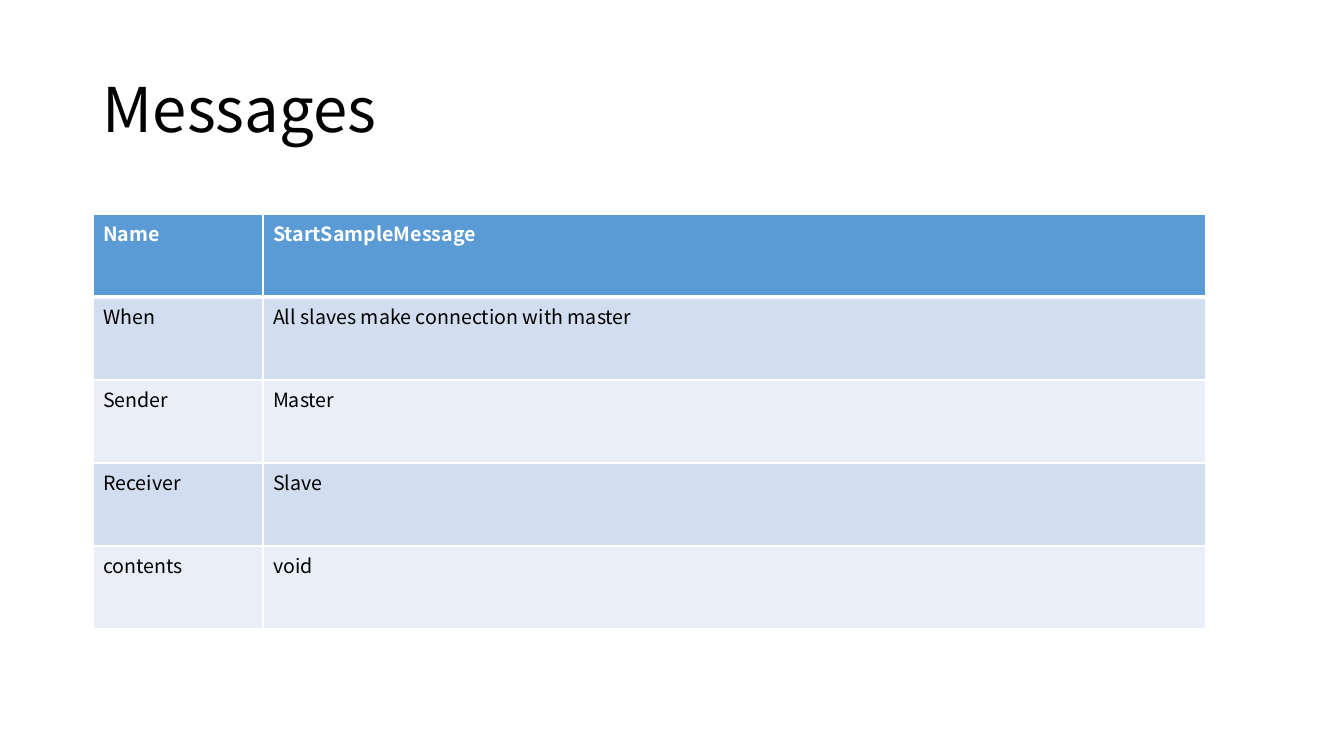
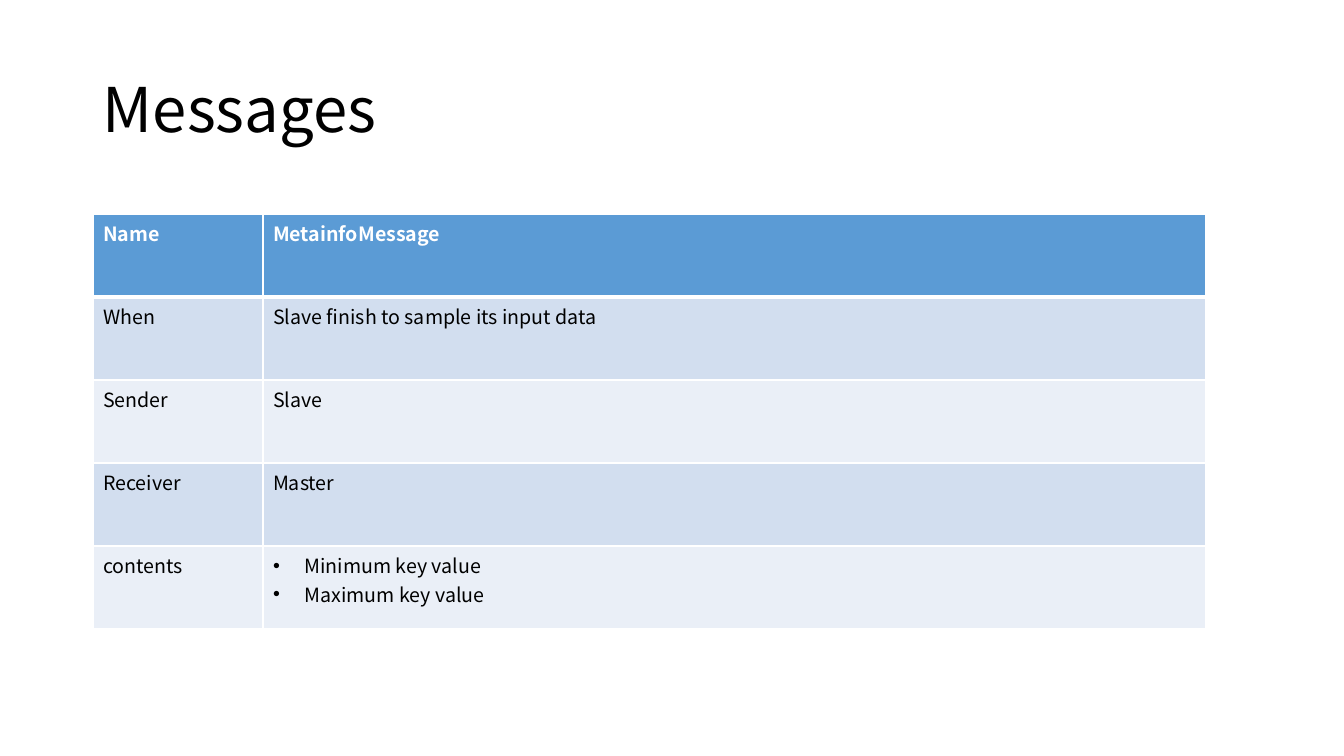
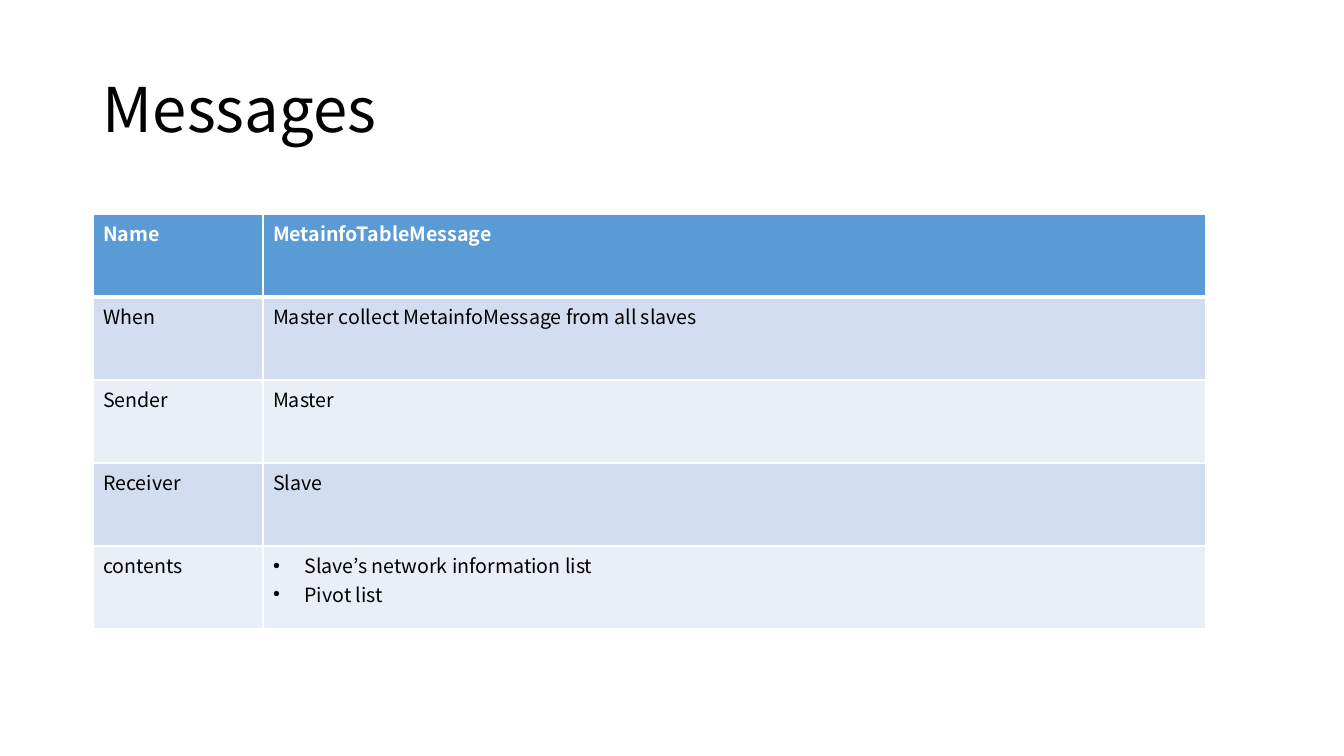
from lxml import etree
from pptx import Presentation
from pptx import util as u
from pptx.dml.color import RGBColor
from pptx.enum import text
from pptx.oxml import ns

# Shared look
EMU_PER_PIXEL = 914400 / 100.8
FONT = "Noto Sans CJK KR"
BLACK = RGBColor(0x00, 0x00, 0x00)
WHITE = RGBColor(0xFF, 0xFF, 0xFF)
HEADER_BLUE = RGBColor(0x5B, 0x9B, 0xD5)
BANDS = (RGBColor(0xEA, 0xEF, 0xF7), RGBColor(0xD2, 0xDE, 0xEF))

# Layout in pixels
SLIDE_SIZE = (1344, 756)
TITLE_BOX = (93, 40, 1159, 146)
TABLE_LEFT, TABLE_TOP = 93, 214
COLUMN_WIDTHS = (170, 943)
ROW_HEIGHT = 83
BULLET_INDENT = 31.5

# Content: one message per slide, a tuple is a bulleted list
LABELS = ("Name", "When", "Sender", "Receiver", "contents")
MESSAGES = (
    ("StartSampleMessage", "All slaves make connection with master",
     "Master", "Slave", "void"),
    ("MetainfoMessage", "Slave finish to sample its input data",
     "Slave", "Master", ("Minimum key value", "Maximum key value")),
    ("MetainfoTableMessage", "Master collect MetainfoMessage from all slaves",
     "Master", "Slave", ("Slave\u2019s network information list", "Pivot list")),
)


def px(pixels):
    return u.Emu(round(pixels * EMU_PER_PIXEL))


def add_bullet(paragraph):
    properties = paragraph._p.get_or_add_pPr()
    properties.set("marL", str(px(BULLET_INDENT)))
    properties.set("indent", str(-px(BULLET_INDENT)))
    etree.SubElement(properties, ns.qn("a:buFont")).set("typeface", "Arial")
    etree.SubElement(properties, ns.qn("a:buChar")).set("char", "\u2022")


def write_text(frame, lines, size=14, color=BLACK, bold=False,
               line_spacing=None, bullets=False):
    for index, line in enumerate(lines):
        paragraph = frame.add_paragraph() if index else frame.paragraphs[0]
        if line_spacing:
            paragraph.line_spacing = line_spacing
        if bullets:
            add_bullet(paragraph)
        run = paragraph.add_run()
        run.text = line
        run.font.name = FONT
        run.font.size = u.Pt(size)
        run.font.bold = bold
        run.font.color.rgb = color


def set_borders(cell, top=1, bottom=1):
    properties = cell._tc.get_or_add_tcPr()
    for side, width in (("L", 1), ("R", 1), ("T", top), ("B", bottom)):
        line = etree.SubElement(properties, ns.qn(f"a:ln{side}"))
        line.set("w", str(u.Pt(width)))
        fill = etree.SubElement(line, ns.qn("a:solidFill"))
        etree.SubElement(fill, ns.qn("a:srgbClr")).set("val", str(WHITE))


def add_title(slide, title):
    frame = slide.shapes.add_textbox(*map(px, TITLE_BOX)).text_frame
    frame.word_wrap = True
    frame.vertical_anchor = text.MSO_ANCHOR.MIDDLE
    write_text(frame, [title], size=44, line_spacing=0.9)


def fill_cell(cell, content, row):
    header = row == 0
    # The line under the header is thicker than the others
    set_borders(cell, top=3 if row == 1 else 1, bottom=3 if header else 1)
    cell.fill.solid()
    cell.fill.fore_color.rgb = HEADER_BLUE if header else BANDS[row % 2]
    bullets = isinstance(content, tuple)
    write_text(cell.text_frame, content if bullets else [content],
               color=WHITE if header else BLACK, bold=header, bullets=bullets)


def add_message_table(slide, values):
    table = slide.shapes.add_table(
        len(LABELS), len(COLUMN_WIDTHS), px(TABLE_LEFT), px(TABLE_TOP),
        px(sum(COLUMN_WIDTHS)), px(ROW_HEIGHT * len(LABELS))).table
    for column, width in zip(table.columns, COLUMN_WIDTHS):
        column.width = px(width)
    for row, contents in enumerate(zip(LABELS, values)):
        table.rows[row].height = px(ROW_HEIGHT)
        for column, content in enumerate(contents):
            fill_cell(table.cell(row, column), content, row)


def main():
    presentation = Presentation()
    presentation.slide_width, presentation.slide_height = map(px, SLIDE_SIZE)
    for values in MESSAGES:
        slide = presentation.slides.add_slide(presentation.slide_layouts[6])
        add_title(slide, "Messages")
        add_message_table(slide, values)
    presentation.save("out.pptx")


main()
